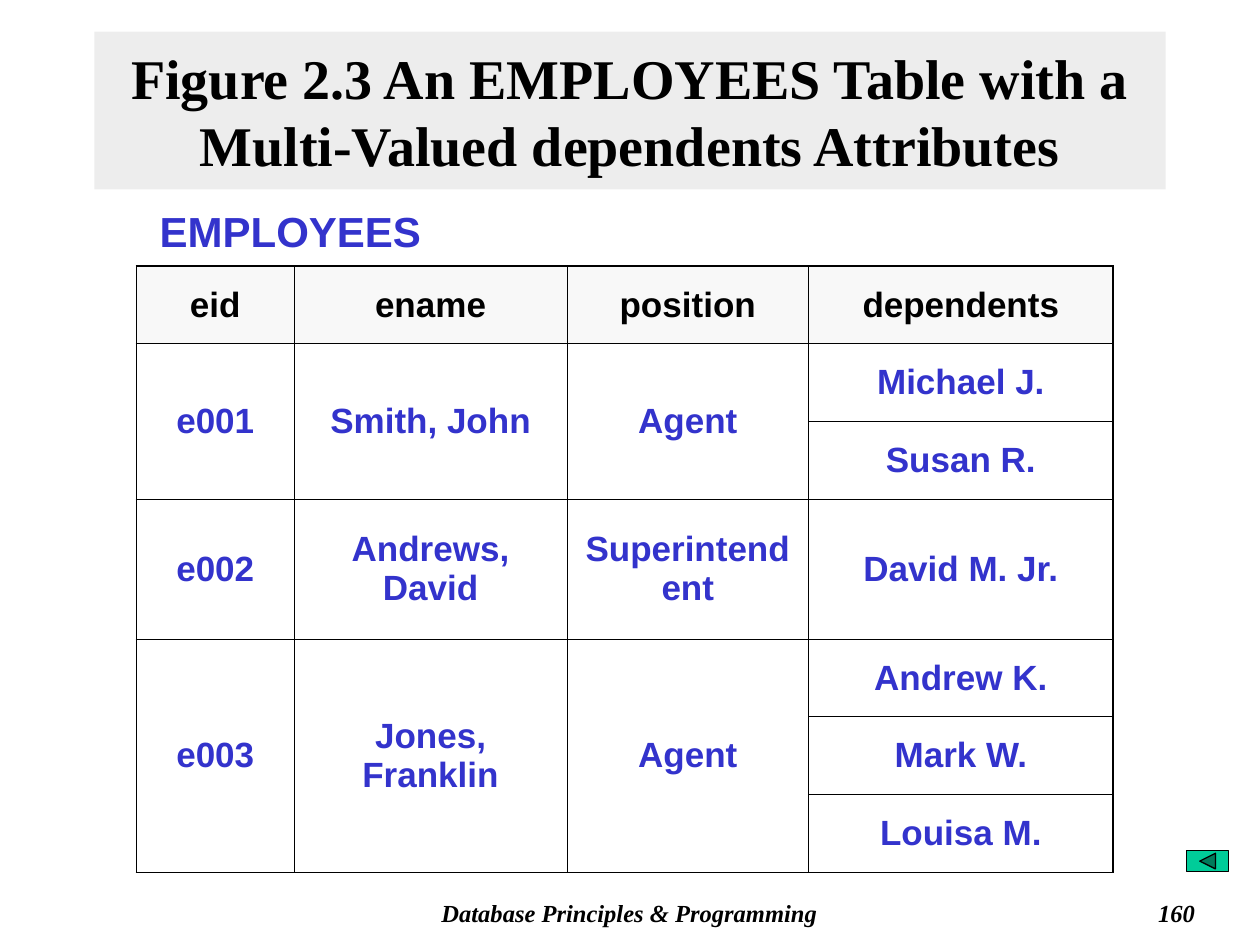
from lxml import etree
from pptx import Presentation
from pptx.dml.color import RGBColor
from pptx.enum.shapes import MSO_SHAPE
from pptx.enum.text import MSO_ANCHOR, MSO_AUTO_SIZE, PP_ALIGN
from pptx.oxml.ns import qn
from pptx.util import Cm, Pt

LEFT, CENTER, RIGHT = PP_ALIGN.LEFT, PP_ALIGN.CENTER, PP_ALIGN.RIGHT
TOP, MIDDLE = MSO_ANCHOR.TOP, MSO_ANCHOR.MIDDLE
NO_AUTOFIT = MSO_AUTO_SIZE.NONE
BACK_BUTTON = MSO_SHAPE.ACTION_BUTTON_BACK_OR_PREVIOUS
TITLE_ONLY = 5

# Content
TITLE = "Figure 2.3 An EMPLOYEES Table with a Multi-Valued dependents Attributes"
TABLE_NAME = "EMPLOYEES"
HEADERS = ["eid", "ename", "position", "dependents"]
EMPLOYEES = [
    ("e001", "Smith, John", "Agent", ["Michael J.", "Susan R."]),
    ("e002", "Andrews, David", "Superintendent", ["David M. Jr."]),
    ("e003", "Jones, Franklin", "Agent", ["Andrew K.", "Mark W.", "Louisa M."]),
]
FOOTER = "Database Principles & Programming"
PAGE = "160"

# Theme and layout, lengths in centimetres
BLACK, BLUE = RGBColor(0, 0, 0), RGBColor(0x33, 0x33, 0xCC)
SERIF, SANS = "Times New Roman", "Arial"
THEME = {
    "band": RGBColor(0xDD, 0xDD, 0xDD),
    "header_fill": RGBColor(0xF8, 0xF8, 0xF8),
    "button": RGBColor(0x00, 0xCC, 0x99),
    "outer": 1.08,
    "inner": 0.45,
    "title": dict(name=SERIF, size=Pt(32), bold=True, italic=False, color=BLACK),
    "footer": dict(name=SERIF, size=Pt(14), bold=True, italic=True, color=BLACK),
    "label": dict(name=SANS, size=Pt(24), bold=True, color=BLUE),
    "header": dict(name=SANS, size=Pt(20), bold=True, color=BLACK),
    "cell": dict(name=SANS, size=Pt(20), bold=True, color=BLUE),
}
TITLE_BOX = (1.9, 0.64, 21.6, 3.18)
LABEL_BOX = (2.97, 4.01, 7.62, 1.27)
FOOTER_BOX = (7.19, 17.98, 11, 0.84)
PAGE_BOX = (19.05, 17.98, 5.29, 0.84)
BUTTON_BOX = (23.92, 17.15, 0.85, 0.42)
TABLE_LEFT, TABLE_TOP = 2.75, 5.36
COL_WIDTHS = [3.18, 5.5, 4.87, 6.14]
ROW_HEIGHT, TALL_ROW, TALL_HEIGHT = 1.57, 3, 2.81


def cm(box):
    return [Cm(v) for v in box]


def write(tf, text, style, align, anchor=TOP):
    tf.word_wrap = True
    tf.vertical_anchor = anchor
    p = tf.paragraphs[0]
    p.alignment = align
    r = p.add_run()
    r.text = text
    for name, value in THEME[style].items():
        if name == "color":
            r.font.color.rgb = value
        else:
            setattr(r.font, name, value)


def add_text(s, box, text, style, align):
    sp = s.shapes.add_textbox(*cm(box))
    write(sp.text_frame, text, style, align)


def set_borders(cell, widths):
    tc_pr = cell._tc.get_or_add_tcPr()
    for side, width in zip("LRTB", widths):
        ln = etree.SubElement(tc_pr, qn(f"a:ln{side}"), w=str(Pt(width)))
        fill = etree.SubElement(ln, qn("a:solidFill"))
        etree.SubElement(fill, qn("a:srgbClr"), val=str(BLACK))


def add_employee_table(s):
    # Each entry: row, column, row span, text
    entries = [(0, col, 1, text) for col, text in enumerate(HEADERS)]
    row = 1
    for *facts, dependents in EMPLOYEES:
        span = len(dependents)
        entries += [(row, col, span, text) for col, text in enumerate(facts)]
        entries += [(row + i, len(facts), 1, d) for i, d in enumerate(dependents)]
        row += span

    heights = [TALL_HEIGHT if i == TALL_ROW else ROW_HEIGHT for i in range(row)]
    last_col = len(HEADERS) - 1
    box = (TABLE_LEFT, TABLE_TOP, sum(COL_WIDTHS), sum(heights))
    table = s.shapes.add_table(row, len(HEADERS), *cm(box)).table
    table.first_row = table.horz_banding = False
    for column, width in zip(table.columns, COL_WIDTHS):
        column.width = Cm(width)
    for table_row, height in zip(table.rows, heights):
        table_row.height = Cm(height)

    for top, col, span, text in entries:
        cell = table.cell(top, col)
        if span > 1:
            cell.merge(table.cell(top + span - 1, col))
        edges = (col == 0, col == last_col, top == 0, top + span == row)
        set_borders(cell, [THEME["outer" if e else "inner"] for e in edges])
        if top == 0:
            cell.fill.solid()
            cell.fill.fore_color.rgb = THEME["header_fill"]
        else:
            cell.fill.background()
        cell.vertical_anchor = MIDDLE
        write(cell.text_frame, text, "cell" if top else "header", CENTER, MIDDLE)


def main():
    prs = Presentation()
    prs.slide_width, prs.slide_height = Cm(25.4), Cm(19.05)
    s = prs.slides.add_slide(prs.slide_layouts[TITLE_ONLY])

    # Title on a half-transparent band
    title = s.shapes.title
    title.left, title.top, title.width, title.height = cm(TITLE_BOX)
    title.fill.solid()
    title.fill.fore_color.rgb = THEME["band"]
    color = title._element.spPr.find(".//" + qn("a:srgbClr"))
    etree.SubElement(color, qn("a:alpha"), val="50000")
    title.text_frame.auto_size = NO_AUTOFIT
    write(title.text_frame, TITLE, "title", CENTER, MIDDLE)

    # Table and its name
    add_employee_table(s)
    add_text(s, LABEL_BOX, TABLE_NAME, "label", LEFT)

    # Footer and back button
    add_text(s, FOOTER_BOX, FOOTER, "footer", CENTER)
    add_text(s, PAGE_BOX, PAGE, "footer", RIGHT)
    button = s.shapes.add_shape(BACK_BUTTON, *cm(BUTTON_BOX))
    button.shadow.inherit = False
    button.fill.solid()
    button.fill.fore_color.rgb = THEME["button"]
    button.line.color.rgb = BLACK
    button.line.width = Pt(0.75)

    prs.save("out.pptx")


if __name__ == "__main__":
    main()
